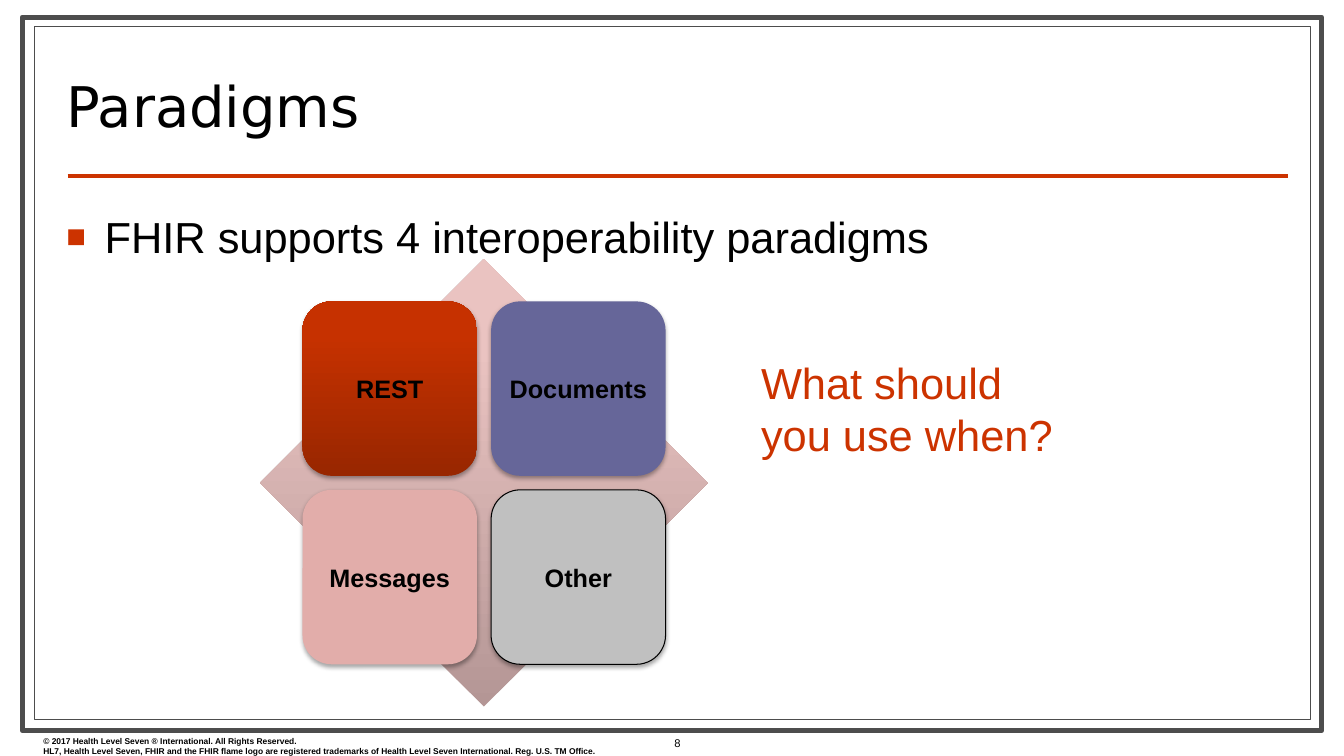
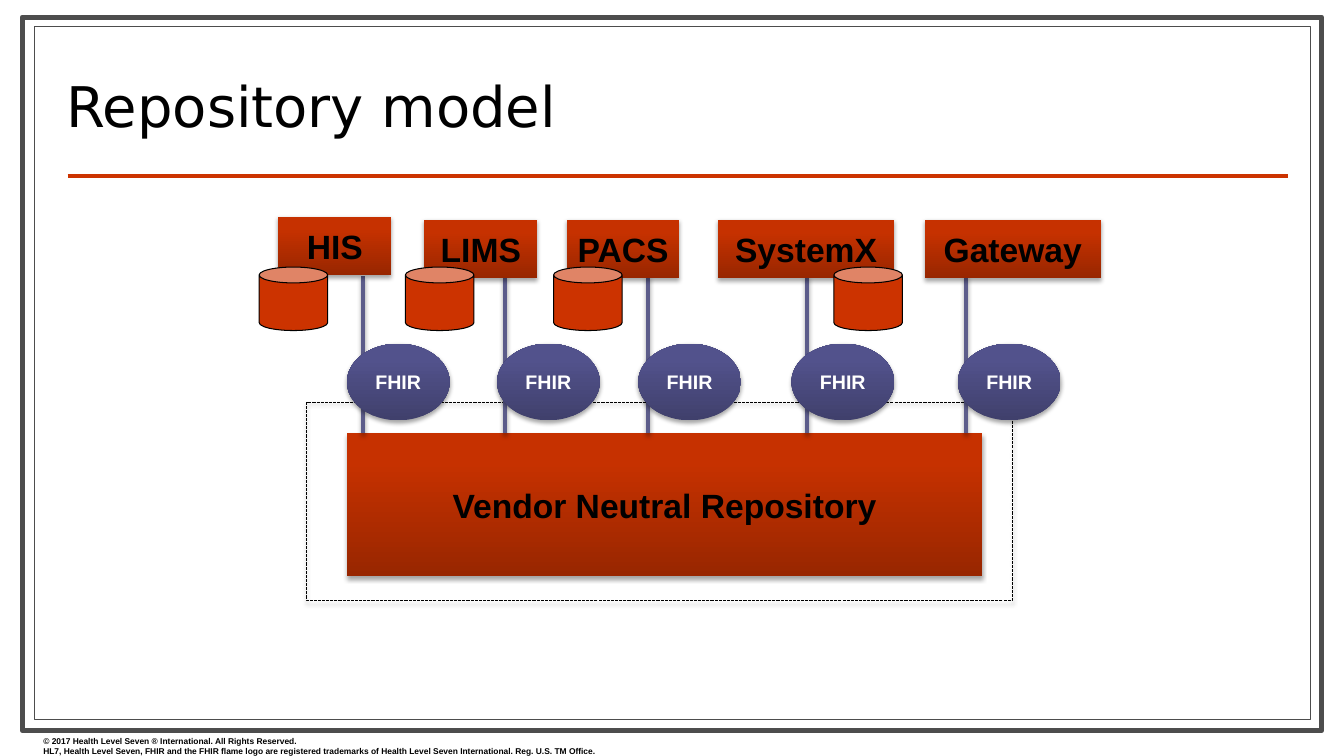
from copy import deepcopy
from pptx import Presentation
from pptx.dml.color import RGBColor
from pptx.enum.dml import MSO_LINE
from pptx.enum.shapes import MSO_CONNECTOR, MSO_SHAPE
from pptx.enum.text import MSO_ANCHOR, MSO_AUTO_SIZE, PP_ALIGN
from pptx.oxml import parse_xml
from pptx.oxml.ns import qn
from pptx.util import Inches, Pt

RECT, ROUND, OVAL = MSO_SHAPE.RECTANGLE, MSO_SHAPE.ROUNDED_RECTANGLE, MSO_SHAPE.OVAL
CAN, DIAMOND, LINE = MSO_SHAPE.CAN, MSO_SHAPE.DIAMOND, MSO_CONNECTOR.STRAIGHT
LEFT, CENTER = PP_ALIGN.LEFT, PP_ALIGN.CENTER
TOP, MIDDLE, BOTTOM = MSO_ANCHOR.TOP, MSO_ANCHOR.MIDDLE, MSO_ANCHOR.BOTTOM
DASH, FIXED = MSO_LINE.SQUARE_DOT, MSO_AUTO_SIZE.NONE

BLACK = RGBColor(0x00, 0x00, 0x00)
WHITE = RGBColor(0xFF, 0xFF, 0xFF)
GRAY = RGBColor(0x4D, 0x4D, 0x4D)
SILVER = RGBColor(0xC0, 0xC0, 0xC0)
RED = RGBColor(0xCC, 0x33, 0x00)
PINK = RGBColor(0xE2, 0xAD, 0xAA)
VIOLET = RGBColor(0x66, 0x66, 0x99)
INDIGO = RGBColor(0x5C, 0x5C, 0x8A)
REDS = [RGBColor(0x98, 0x26, 0x00), RGBColor(0xC6, 0x31, 0x00), RGBColor(0xC7, 0x32, 0x00)]
BLUES = [RGBColor(0x40, 0x40, 0x6C), RGBColor(0x52, 0x52, 0x8C), RGBColor(0x52, 0x52, 0x8E)]
ROSES = [RGBColor(0xB4, 0x96, 0x95), RGBColor(0xEA, 0xC3, 0xC1), RGBColor(0xEC, 0xC3, 0xC1)]
STOPS = [0, 0.8, 1]
SANS, HEAD = "Arial", "DejaVu Sans"
NS = 'xmlns:a="http://schemas.openxmlformats.org/drawingml/2006/main"'
FLAT = parse_xml(f"<a:effectLst {NS}/>")
SHADE = parse_xml(
    f'<a:effectLst {NS}><a:outerShdw blurRad="40000" dist="23000" dir="5400000" rotWithShape="0">'
    '<a:srgbClr val="000000"><a:alpha val="35000"/></a:srgbClr></a:outerShdw></a:effectLst>')

deck = Presentation()
deck.slide_width, deck.slide_height = Inches(13.33), Inches(7.5)
COL, ROW = deck.slide_width / 100, deck.slide_height / 100


def draw(slide, kind, cells, fill=None, edge=None, width=0.75, effect=FLAT):
    x, y, w, h = cells
    area = int(x * COL), int(y * ROW), int(w * COL), int(h * ROW)
    if kind == LINE and kind is LINE:
        shape = slide.shapes.add_connector(LINE, area[0], area[1], area[0] + area[2], area[1] + area[3])
    elif kind is None:
        return slide.shapes.add_textbox(*area)
    else:
        shape = slide.shapes.add_shape(kind, *area)
        if isinstance(fill, list):
            shape.fill.gradient()
            stops = shape.element.spPr.find(qn("a:gradFill")).find(qn("a:gsLst"))
            stops.append(deepcopy(stops[0]))
            for stop, spot, color in zip(shape.fill.gradient_stops, STOPS, fill):
                stop.position, stop.color.rgb = spot, color
            shape.fill.gradient_angle = 90
        elif fill is None:
            shape.fill.background()
        else:
            shape.fill.solid()
            shape.fill.fore_color.rgb = fill
    if edge is None:
        shape.line.fill.background()
    else:
        shape.line.color.rgb = edge
        shape.line.width = Pt(width)
    shape.element.spPr.append(deepcopy(effect))
    return shape


def write(shape, text, size, color=BLACK, bold=False, align=CENTER, anchor=MIDDLE, font=SANS, wrap=True):
    frame = shape.text_frame
    frame.text = text
    frame.word_wrap = wrap
    frame.vertical_anchor = anchor
    for para in frame.paragraphs:
        para.alignment = align
        for run in para.runs:
            run.font.name, run.font.size, run.font.bold = font, Pt(size), bold
            run.font.color.rgb = color
    return frame


plan = deck.slide_layouts[5]
for holder in list(plan.placeholders)[1:]:
    holder.element.getparent().remove(holder.element)
title = plan.placeholders[0]
title.left, title.top = int(4.2 * COL), int(6.93 * ROW)
title.width, title.height = int(76.52 * COL), int(12 * ROW)
title.text_frame.auto_size = FIXED

first, second = [deck.slides.add_slide(plan) for _ in range(2)]
note = draw(first, None, (2.48, 96.67, 48.31, 4))
write(note, "© 2017 Health Level Seven ® International. All Rights Reserved.\n"
      "HL7, Health Level Seven, FHIR and the FHIR flame logo are registered trademarks of "
      "Health Level Seven International. Reg. U.S. TM Office.",
      6, bold=True, align=LEFT, anchor=TOP)
shared = [
    draw(first, RECT, (1.65, 2.27, 96.7, 94.4), WHITE, GRAY, 3.5),
    draw(first, RECT, (2.55, 3.47, 94.97, 91.73), WHITE, GRAY),
    draw(first, LINE, (5.03, 23.33, 90.77, 0), edge=RED, width=3),
    note,
]
for shape in shared:
    title.element.addprevious(shape.element)

for slide, name in [(first, "Paradigms"), (second, "Repository model")]:
    frame = write(slide.shapes.title, name, 40, align=LEFT, anchor=BOTTOM, font=HEAD)
    frame.paragraphs[0].line_spacing = 0.8

lead = draw(first, None, (4.2, 27.2, 91.67, 8))
frame = write(lead, "FHIR supports 4 interoperability paradigms", 31, align=LEFT, anchor=TOP)
props = frame.paragraphs[0]._p.get_or_add_pPr()
props.set("marL", str(Inches(0.38)))
props.set("indent", str(-Inches(0.38)))
for mark in [f'<a:buClr {NS}><a:srgbClr val="{RED}"/></a:buClr>',
             f'<a:buSzPct {NS} val="75000"/>',
             f'<a:buFont {NS} typeface="{SANS}"/>',
             f'<a:buChar {NS} char="■"/>']:
    props.append(parse_xml(mark))

write(draw(first, None, (47.49, 96.67, 5.85, 3.33)), "8", 8)
draw(first, DIAMOND, (19.35, 34.27, 33.31, 59.2), ROSES)
tiles = [("REST", REDS, None), ("Documents", VIOLET, None),
         ("Messages", PINK, None), ("Other", SILVER, BLACK)]
for i, (name, fill, edge) in enumerate(tiles):
    row, col = divmod(i, 2)
    cells = 22.51 + col * 14.03, 39.87 + row * 24.93, 12.98, 23.07
    tile = draw(first, ROUND, cells, fill, edge, effect=SHADE)
    write(tile, name, 18, bold=True, wrap=False)
ask = draw(first, None, (55.89, 46.4, 24.23, 18.93))
write(ask, "What should you use when?", 31, RED, align=LEFT, anchor=TOP)

store = draw(second, RECT, (25.81, 57.33, 47.26, 18.93), REDS, effect=SHADE)
write(store, "Vendor Neutral Repository", 24, bold=True)
zone = draw(second, RECT, (22.81, 53.2, 52.51, 26.27), edge=BLACK, effect=SHADE)
zone.line.dash_style = DASH
for x in [27.01, 37.58, 48.24, 60.02, 71.87]:
    draw(second, LINE, (x, 36.53, 0, 20.8), edge=INDIGO, width=3, effect=SHADE)
systems = [("HIS", 20.71, 28.67, 8.4), ("LIMS", 31.58, 29.07, 8.4), ("PACS", 42.16, 29.07, 8.4),
           ("SystemX", 53.41, 29.07, 13.13), ("Gateway", 68.79, 29.07, 13.13)]
for name, x, y, w in systems:
    box = draw(second, RECT, (x, y, w, 7.73), REDS, effect=SHADE)
    write(box, name, 24, bold=True, wrap=False)
for x in [19.28, 30.16, 41.19, 62.04]:
    draw(second, CAN, (x, 35.33, 5.1, 8.4), RED, BLACK)
for x in [25.81, 36.98, 47.49, 58.89, 71.27]:
    oval = draw(second, OVAL, (x, 45.47, 7.65, 10.13), BLUES, effect=SHADE)
    write(oval, "FHIR", 14, WHITE, bold=True, wrap=False)

deck.save("out.pptx")
